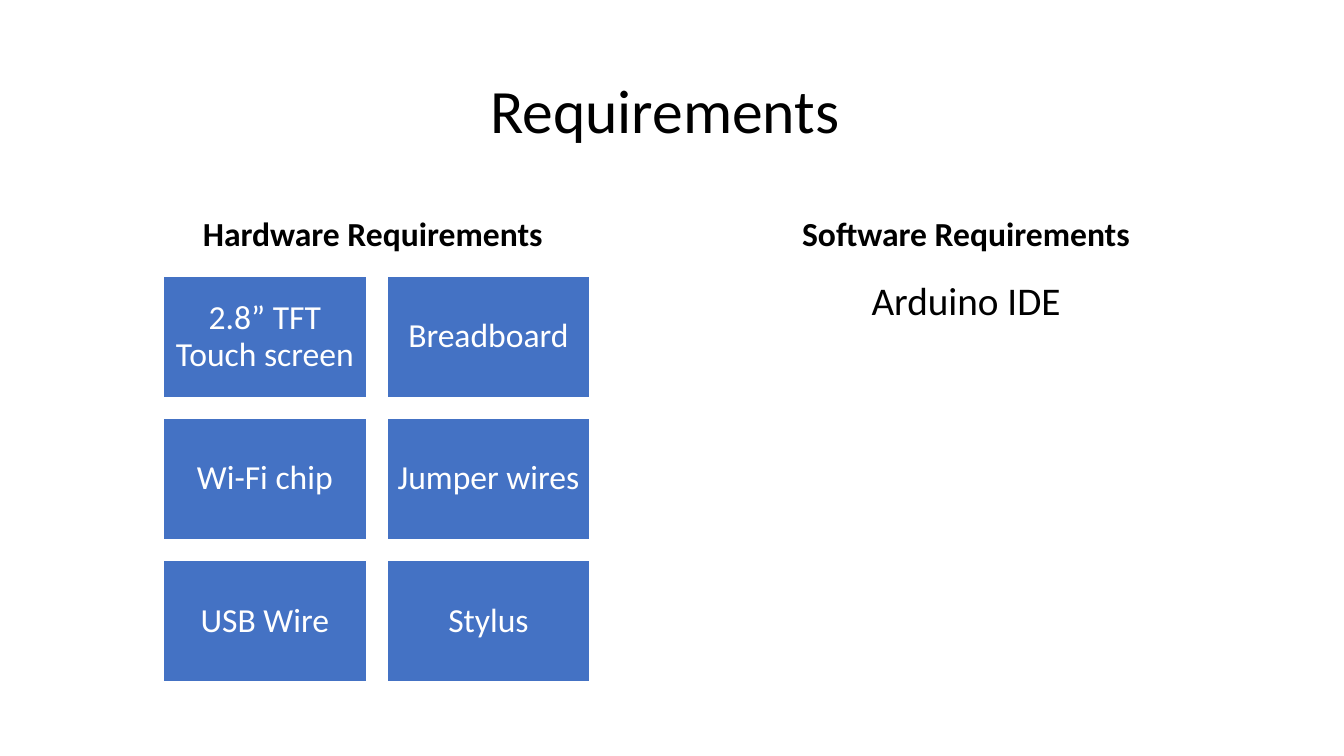
"""Build the Requirements slide with its hardware grid and software list."""
from dataclasses import dataclass

from pptx import Presentation
from pptx.dml.color import RGBColor
from pptx.enum.shapes import MSO_SHAPE as SHAPE
from pptx.enum.text import MSO_ANCHOR as ANCHOR, PP_ALIGN as ALIGN
from pptx.shapes.autoshape import Shape
from pptx.slide import Slide
from pptx.util import Pt

FONT = "Calibri"
BLACK, WHITE, BLUE = "000000", "FFFFFF", "4472C4"
GRID_LEFT, GRID_TOP = 116.7, 197.2
CARD_W, CARD_H = 145, 87
STEP_X, STEP_Y = 159.7, 101.5
COLUMNS = 2


@dataclass
class Label:
    text: str
    left: float
    top: float
    width: float
    height: float
    size: float
    anchor: ANCHOR
    bold: bool = False


LABELS = [
    Label("Requirements ", 66, 28.8, 828, 104.4, 44, ANCHOR.MIDDLE),
    Label("Hardware Requirements ", 66, 132.4, 406, 52.6, 24, ANCHOR.BOTTOM, True),
    Label("Software Requirements", 486, 132.4, 408, 52.6, 24, ANCHOR.BOTTOM, True),
    Label("Arduino IDE", 486, 197.4, 408, 290, 28, ANCHOR.TOP),
]
HARDWARE = ["2.8” TFT Touch screen", "Breadboard", "Wi-Fi chip",
            "Jumper wires", "USB Wire", "Stylus"]


def rgb(value: str) -> RGBColor:
    return RGBColor.from_string(value)


def write(sp: Shape, text: str, size: float, color: str, anchor: ANCHOR,
          bold: bool = False) -> None:
    tf = sp.text_frame
    tf.word_wrap = True
    tf.vertical_anchor = anchor
    p = tf.paragraphs[0]
    p.alignment = ALIGN.CENTER
    p.line_spacing = 0.9
    r = p.add_run()
    r.text = text
    r.font.name = FONT
    r.font.size = Pt(size)
    r.font.bold = bold
    r.font.color.rgb = rgb(color)


def add_label(s: Slide, label: Label) -> None:
    sp = s.shapes.add_textbox(Pt(label.left), Pt(label.top),
                              Pt(label.width), Pt(label.height))
    write(sp, label.text, label.size, BLACK, label.anchor, label.bold)


def add_card(s: Slide, index: int, text: str) -> None:
    row, col = divmod(index, COLUMNS)
    sp = s.shapes.add_shape(SHAPE.RECTANGLE, Pt(GRID_LEFT + col * STEP_X),
                            Pt(GRID_TOP + row * STEP_Y), Pt(CARD_W), Pt(CARD_H))
    sp.shadow.inherit = False
    sp.fill.solid()
    sp.fill.fore_color.rgb = rgb(BLUE)
    sp.line.color.rgb = rgb(WHITE)
    sp.line.width = Pt(1)
    tf = sp.text_frame
    tf.margin_left = tf.margin_right = tf.margin_top = tf.margin_bottom = Pt(7)
    write(sp, text, 24, WHITE, ANCHOR.MIDDLE)


def main() -> None:
    prs = Presentation()
    prs.slide_width, prs.slide_height = Pt(960), Pt(540)
    s = prs.slides.add_slide(prs.slide_layouts[6])
    for label in LABELS:
        add_label(s, label)
    for index, text in enumerate(HARDWARE):
        add_card(s, index, text)
    prs.save("out.pptx")


if __name__ == "__main__":
    main()
